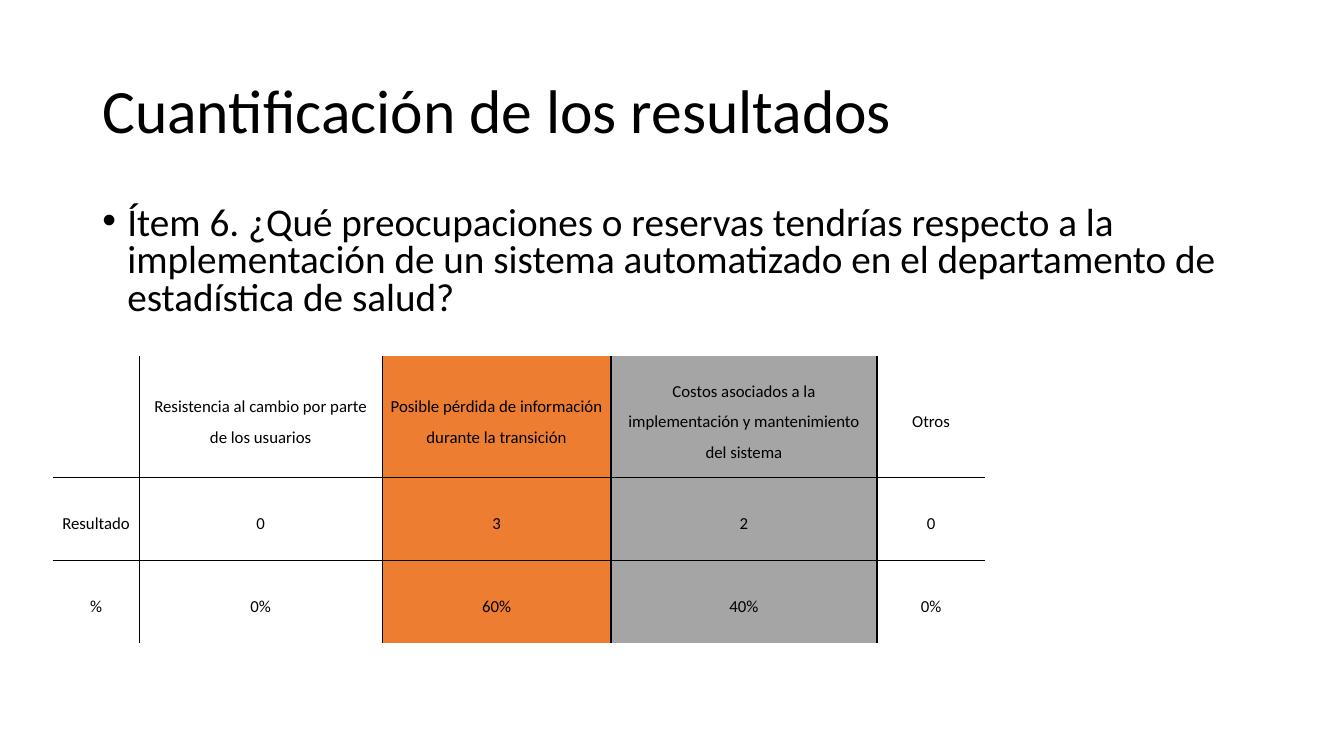
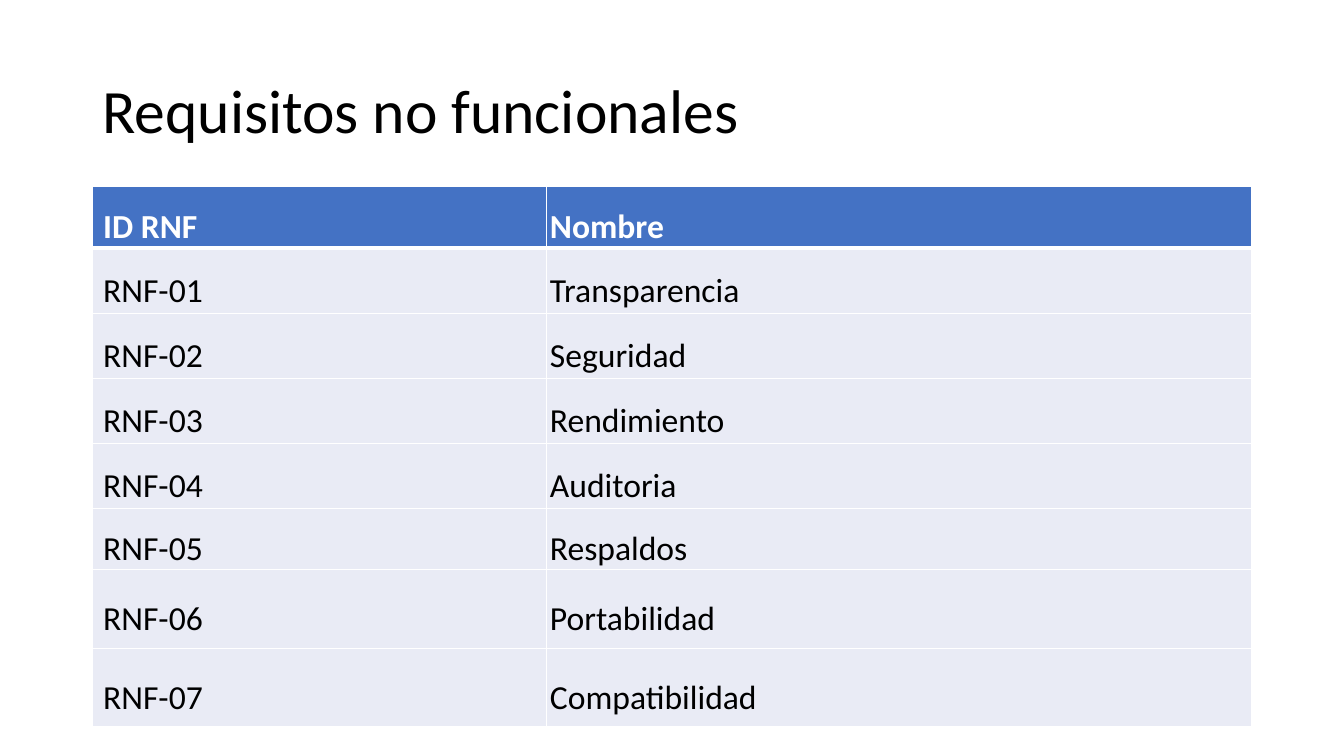
from lxml import etree
from pptx import Presentation
from pptx import util as u
from pptx.dml.color import RGBColor
from pptx.enum import text
from pptx.oxml import ns

BLACK = RGBColor(0x00, 0x00, 0x00)
WHITE = RGBColor(0xFF, 0xFF, 0xFF)
ORANGE = RGBColor(0xED, 0x7D, 0x31)
GRAY = RGBColor(0xA5, 0xA5, 0xA5)
BLUE = RGBColor(0x44, 0x72, 0xC4)
PALE = RGBColor(0xE9, 0xEB, 0xF5)
FONT = "Calibri"
LEFT, WIDTH = u.Cm(2.33), u.Cm(29.21)
TITLE_BOX = (LEFT, u.Cm(1.01), WIDTH, u.Cm(3.68))
QUESTION_BOX = (LEFT, u.Cm(5.07), WIDTH, u.Cm(3.15))

SURVEY = [
    ["", "Resistencia al cambio por parte de los usuarios",
     "Posible pérdida de información durante la transición",
     "Costos asociados a la implementación y mantenimiento del sistema", "Otros"],
    ["Resultado", "0", "3", "2", "0"],
    ["%", "0%", "60%", "40%", "0%"],
]
NAMES = ["Transparencia", "Seguridad", "Rendimiento", "Auditoria",
         "Respaldos", "Portabilidad", "Compatibilidad"]


def format_runs(p, size, color=BLACK, bold=False):
    """Apply the shared font to every run of a paragraph."""
    for r in p.runs:
        r.font.name, r.font.size, r.font.bold = FONT, u.Pt(size), bold
        r.font.color.rgb = color


def add_text(s, box, content, size, spacing):
    """Place a wrapped text box and return its shape."""
    sp = s.shapes.add_textbox(*box)
    tf = sp.text_frame
    tf.word_wrap = True
    p = tf.paragraphs[0]
    p.text = content
    p.line_spacing = spacing
    format_runs(p, size)
    return sp


def add_title(s, content):
    """Place the slide title."""
    sp = add_text(s, TITLE_BOX, content, 44, 0.9)
    sp.text_frame.vertical_anchor = text.MSO_ANCHOR.MIDDLE


def add_question(s, content):
    """Place the bulleted survey question."""
    p = add_text(s, QUESTION_BOX, content, 28, 0.8).text_frame.paragraphs[0]
    p.space_before = u.Pt(10)
    pPr = p._p.get_or_add_pPr()
    pPr.set("marL", str(u.Cm(0.63)))
    pPr.set("indent", str(-u.Cm(0.63)))
    etree.SubElement(pPr, ns.qn("a:buFont")).set("typeface", "Arial")
    etree.SubElement(pPr, ns.qn("a:buChar")).set("char", "•")


def set_borders(cell, color, widths):
    """Draw the left, right, top and bottom borders; zero width hides one."""
    tcPr = cell._tc.get_or_add_tcPr()
    for side, width in zip("LRTB", widths):
        ln = etree.SubElement(tcPr, ns.qn(f"a:ln{side}"))
        ln.set("w", str(u.Pt(width)))
        if width:
            fill = etree.SubElement(ln, ns.qn("a:solidFill"))
            etree.SubElement(fill, ns.qn("a:srgbClr")).set("val", str(color))
        else:
            etree.SubElement(ln, ns.qn("a:noFill"))


def add_grid(s, left, top, cols, rows, values):
    """Place a plain table with the given sizes in cm and return it."""
    sp = s.shapes.add_table(len(rows), len(cols), left, top,
                            u.Cm(sum(cols)), u.Cm(sum(rows)))
    table = sp.table
    table.first_row = table.horz_banding = False
    for column, width in zip(table.columns, cols):
        column.width = u.Cm(width)
    for row, height, line in zip(table.rows, rows, values):
        row.height = u.Cm(height)
        for cell, value in zip(row.cells, line):
            cell.text = value
    return table


def format_cell(cell, size, margins, fill, color=BLACK, bold=False, align=None):
    """Set a cell's insets, fill and paragraph format."""
    cell.margin_left, cell.margin_right = (u.Cm(m) for m in margins)
    cell.margin_top = cell.margin_bottom = 0
    cell.vertical_anchor = text.MSO_ANCHOR.MIDDLE
    if fill is None:
        cell.fill.background()
    else:
        cell.fill.solid()
        cell.fill.fore_color.rgb = fill
    p = cell.text_frame.paragraphs[0]
    p.alignment, p.line_spacing, p.space_after = align, 1.5, u.Pt(8)
    format_runs(p, size, color, bold)


def add_survey_table(s, left, top):
    """Place the survey results with inner rules only."""
    cols, rows = [2.18, 6.12, 5.77, 6.7, 2.73], [3.06, 2.08, 2.08]
    fills = [None, None, ORANGE, GRAY, None]
    table = add_grid(s, left, top, cols, rows, SURVEY)
    for i, row in enumerate(table.rows):
        for j, cell in enumerate(row.cells):
            inner = (j > 0, j < len(cols) - 1, i > 0, i < len(rows) - 1)
            set_borders(cell, BLACK, [int(edge) for edge in inner])
            format_cell(cell, 12, (0.19, 0.19), fills[j],
                        align=text.PP_ALIGN.CENTER)


def add_requirements_table(s, left, top):
    """Place the list of requirements under a blue header row."""
    values = [["ID RNF", "Nombre"]]
    values += [[f"RNF-{n:02}", name] for n, name in enumerate(NAMES, 1)]
    rows = [1.55] + [1.64] * 4 + [1.55] + [1.98] * 2
    table = add_grid(s, left, top, [11.45, 17.76], rows, values)
    for i, row in enumerate(table.rows):
        header = i == 0
        for cell, inset in zip(row.cells, (0.27, 0.08)):
            set_borders(cell, WHITE, [1, 1, 3 if i == 1 else 1, 3 if header else 1])
            format_cell(cell, 24, (inset, 0.08), BLUE if header else PALE,
                        WHITE if header else BLACK, header)


def main():
    """Build and save both slides."""
    prs = Presentation()
    prs.slide_width, prs.slide_height = u.Cm(33.87), u.Cm(19.05)
    blank = prs.slide_layouts[6]

    s = prs.slides.add_slide(blank)
    add_title(s, "Cuantificación de los resultados")
    add_question(s, "Ítem 6. ¿Qué preocupaciones o reservas tendrías respecto a la "
                    "implementación de un sistema automatizado en el departamento "
                    "de estadística de salud?")
    add_survey_table(s, u.Cm(1.33), u.Cm(8.98))

    s = prs.slides.add_slide(blank)
    add_title(s, "Requisitos no funcionales")
    add_requirements_table(s, LEFT, u.Cm(4.7))
    prs.save("out.pptx")


if __name__ == "__main__":
    main()
